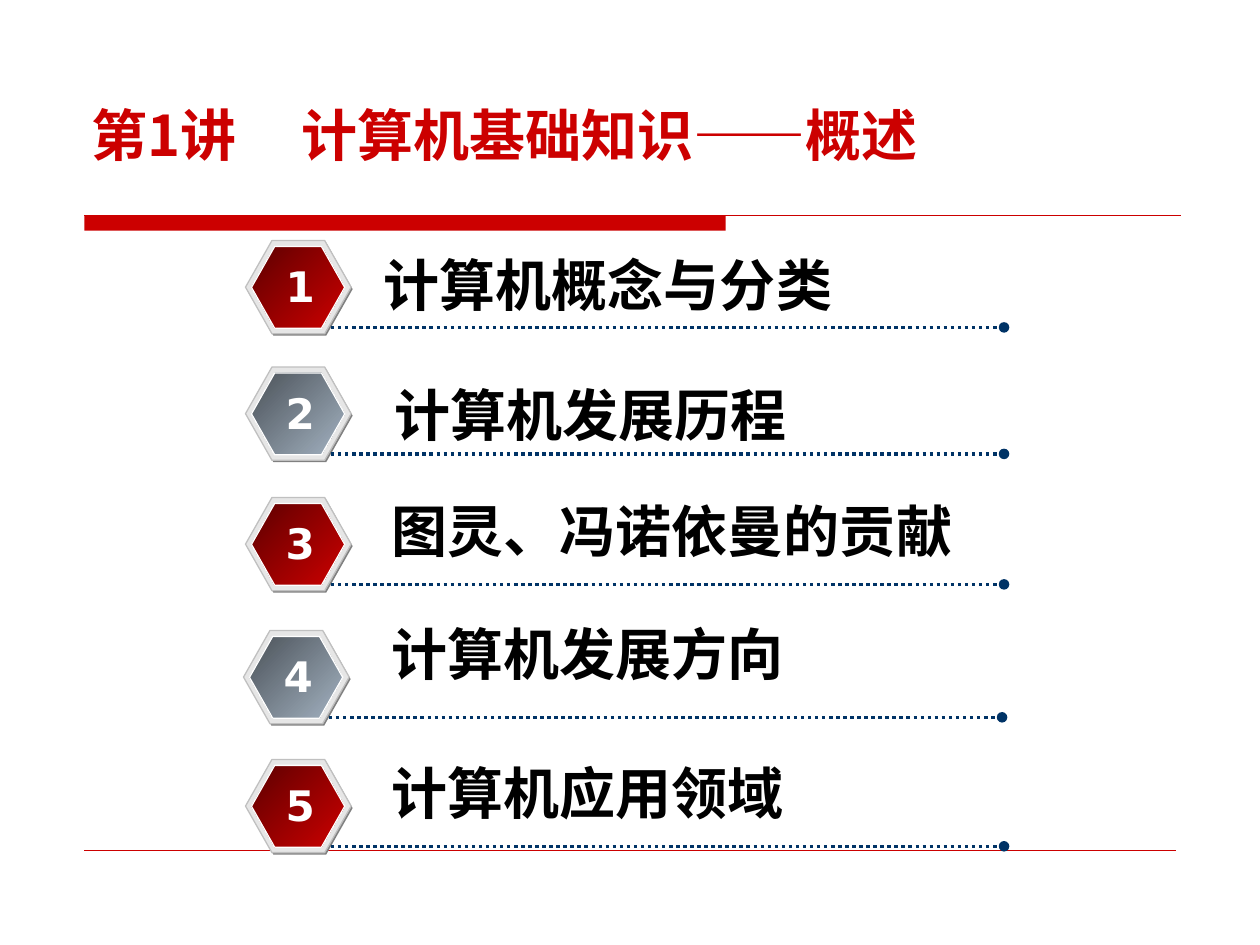
"""Build the agenda slide of a lecture on computer basics."""
from dataclasses import dataclass

from lxml.etree import SubElement
from pptx import Presentation
from pptx.dml.color import RGBColor
from pptx.enum.dml import MSO_LINE
from pptx.enum.shapes import MSO_CONNECTOR, MSO_SHAPE
from pptx.enum.text import MSO_ANCHOR, PP_ALIGN
from pptx.oxml.ns import qn
from pptx.util import Cm, Pt


@dataclass(frozen=True)
class Theme:
    red: str = "CC0000"
    dark_red: str = "5E0000"
    steel: str = "A3B2C1"
    dark_steel: str = "4B5259"
    navy: str = "003366"
    black: str = "000000"
    white: str = "FFFFFF"
    rim: str = "E6E6E6"
    rim_line: str = "C0C0C0"
    shade: str = "808080"
    latin: str = "DejaVu Sans"
    chinese: str = "Noto Sans CJK SC"
    large: int = 32
    medium: int = 24


THEME = Theme()


def write_text(box, text, size=THEME.large, color=THEME.black, latin=THEME.latin,
               align=PP_ALIGN.LEFT, anchor=MSO_ANCHOR.TOP, wrap=True, tab=None):
    frame = box.text_frame
    frame.word_wrap = wrap
    frame.vertical_anchor = anchor
    para = frame.paragraphs[0]
    para.alignment = align
    if tab:
        stops = SubElement(para._p.get_or_add_pPr(), qn("a:tabLst"))
        SubElement(stops, qn("a:tab"), pos=str(Cm(tab)), algn="l")
    span = para.add_run()
    span.text = text
    span.font.size = Pt(size)
    span.font.bold = True
    span.font.name = latin
    span.font.color.rgb = RGBColor.from_string(color)
    SubElement(span._r.get_or_add_rPr(), qn("a:ea"), typeface=THEME.chinese)


class Painter:
    def __init__(self, page, theme):
        self.page = page
        self.theme = theme
        self.shapes = page.shapes

    def shape(self, kind, left, top, width, height, fill, line=None):
        shape = self.shapes.add_shape(kind, Cm(left), Cm(top), Cm(width), Cm(height))
        shape.shadow.inherit = False
        if isinstance(fill, tuple):
            shape.fill.gradient()
            shape.fill.gradient_angle = 315
            for stop, color in zip(shape.fill.gradient_stops, fill):
                stop.color.rgb = RGBColor.from_string(color)
        else:
            shape.fill.solid()
            shape.fill.fore_color.rgb = RGBColor.from_string(fill)
        if line:
            shape.line.color.rgb = RGBColor.from_string(line)
            shape.line.width = Pt(0.75)
        else:
            shape.line.fill.background()
        return shape

    def hexagon(self, left, top, width, height, fill, line=None):
        hexagon = self.shape(MSO_SHAPE.HEXAGON, left, top, width, height, fill, line)
        hexagon.adjustments[0] = 0.284

    def rule(self, left, top, length, color, width, dotted=False):
        rule = self.shapes.add_connector(
            MSO_CONNECTOR.STRAIGHT, Cm(left), Cm(top), Cm(left + length), Cm(top))
        rule.line.color.rgb = RGBColor.from_string(color)
        rule.line.width = Pt(width)
        if dotted:
            rule.line.dash_style = MSO_LINE.ROUND_DOT
            SubElement(rule.line._get_or_add_ln(), qn("a:tailEnd"), type="oval")
        SubElement(rule._element.spPr, qn("a:effectLst"))

    def text(self, text, left, top, width, height, **style):
        box = self.shapes.add_textbox(Cm(left), Cm(top), Cm(width), Cm(height))
        write_text(box, text, **style)

    def item(self, number, left, top, label, label_left, label_top, label_width, align):
        theme = self.theme
        colors = (theme.dark_red, theme.red) if number % 2 else (theme.dark_steel, theme.steel)
        self.shapes = self.page.shapes.add_group_shape().shapes
        self.hexagon(left + 0.03, top + 0.04, 2.13, 1.88, theme.shade)
        self.hexagon(left, top, 2.13, 1.88, theme.rim, theme.rim_line)
        self.hexagon(left + 0.12, top + 0.12, 1.88, 1.65, colors, theme.white)
        self.rule(left + 1.72, top + 1.75, 13.57, theme.navy, 2, dotted=True)
        self.text(label, label_left, label_top, label_width, 1.63, align=align)
        self.text(str(number), left + 0.56, top + 0.28, 1, 1.27, size=theme.medium,
                  color=theme.white, align=PP_ALIGN.CENTER, wrap=False)
        self.shapes = self.page.shapes


def main():
    deck = Presentation()
    deck.slide_width, deck.slide_height = Cm(25.4), Cm(19.05)
    painter = Painter(deck.slides.add_slide(deck.slide_layouts[6]), THEME)

    painter.shape(MSO_SHAPE.RECTANGLE, 1.7, 4.34, 12.93, 0.31, THEME.red)
    painter.rule(1.7, 4.34, 22.1, THEME.red, 0.75)
    painter.rule(1.7, 17.14, 22, THEME.red, 0.25)
    painter.text("第1讲\t计算机基础知识——概述", 1.6, 0.84, 22.23, 2.67, color=THEME.red,
                 latin=THEME.chinese, anchor=MSO_ANCHOR.BOTTOM, tab=4.22)

    left, center = PP_ALIGN.LEFT, PP_ALIGN.CENTER
    items = [
        (4.95, 4.85, "计算机概念与分类", 7.49, 4.93, 10.08, left),
        (4.95, 7.4, "计算机发展历程", 7.19, 7.54, 9.45, center),
        (4.95, 10.03, "图灵、冯诺依曼的贡献", 7.65, 9.88, 12.6, left),
        (4.91, 12.71, "计算机发展方向", 7.65, 12.37, 9.93, left),
        (4.95, 15.31, "计算机应用领域", 7.65, 15.16, 12.6, left),
    ]
    for number, item in enumerate(items, 1):
        painter.item(number, *item)

    deck.save("out.pptx")


if __name__ == "__main__":
    main()
